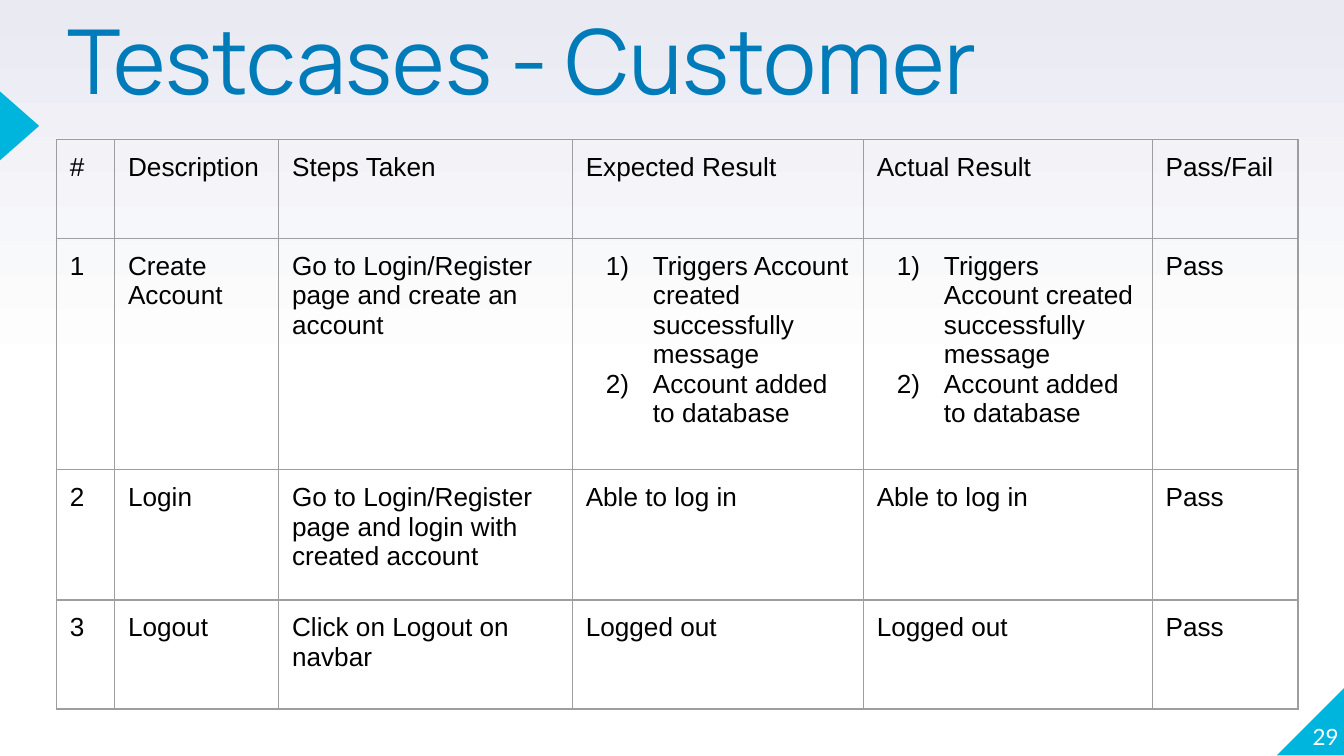
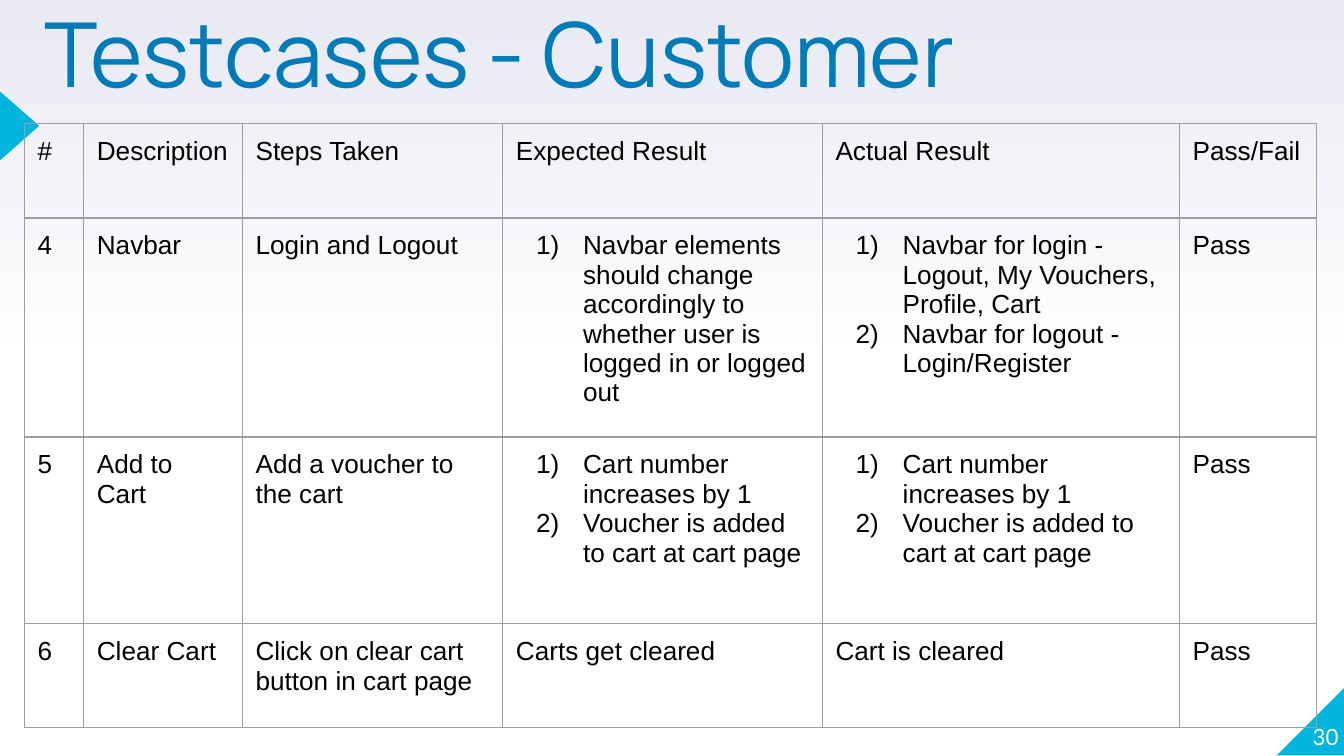
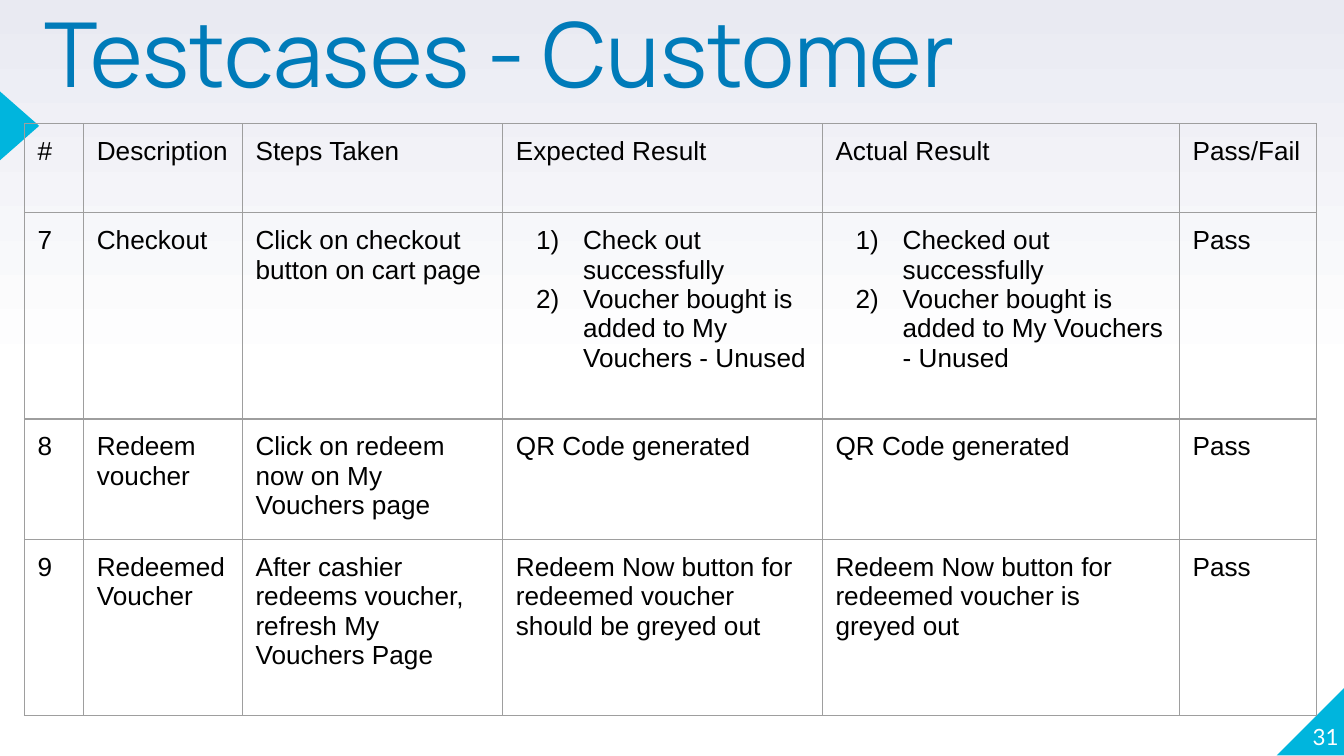
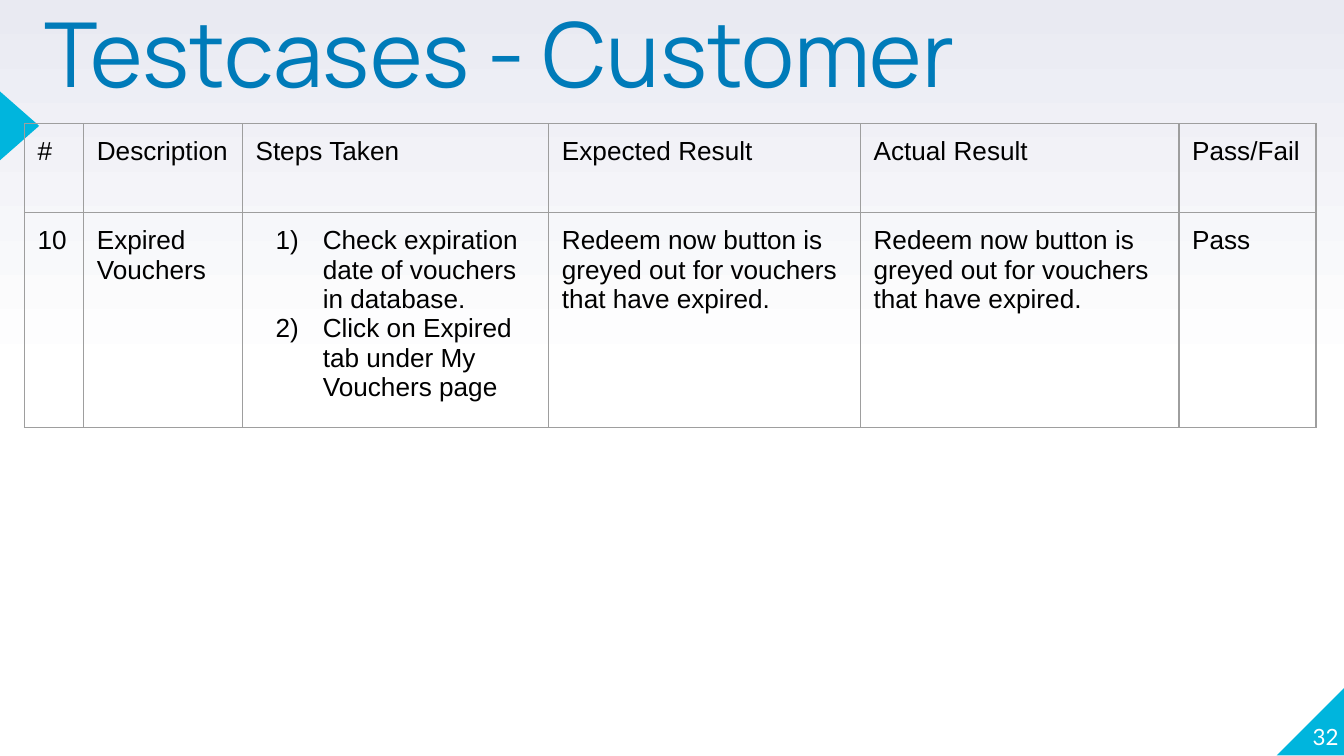
from copy import deepcopy
from dataclasses import dataclass

from lxml import etree
from pptx import Presentation
from pptx.dml.color import RGBColor
from pptx.enum.shapes import MSO_SHAPE
from pptx.enum.text import MSO_ANCHOR, PP_ALIGN
from pptx.oxml.ns import qn
from pptx.util import Cm, Pt

WEDGE = MSO_SHAPE.RIGHT_TRIANGLE
ARROW = MSO_SHAPE.ISOSCELES_TRIANGLE
TOP, BOTTOM = MSO_ANCHOR.TOP, MSO_ANCHOR.BOTTOM
LEFT, RIGHT = PP_ALIGN.LEFT, PP_ALIGN.RIGHT

# Shared look
WHITE, BLACK, MIST = "FFFFFF", "000000", "E9EAF2"
CYAN, BLUE, GREY = "00B5DD", "007BB9", "9E9E9E"
TITLE = "Testcases - Customer"
HEAD = ("#", "Description", "Steps Taken", "Expected Result",
        "Actual Result", "Pass/Fail")
PAD = Cm(0.25)
FIRST = 29

Box = tuple[float, float, float, float]
Entry = str | list[str]  # a list becomes numbered steps


@dataclass(frozen=True)
class Style:
    font: str
    size: float
    color: str
    align: PP_ALIGN = LEFT
    anchor: MSO_ANCHOR = TOP
    line: float | None = None


@dataclass(frozen=True)
class Frame:
    """Places of the title and the table, and the column widths, in cm."""
    title: tuple[float, float]
    grid: tuple[float, float]
    cols: tuple[float, ...]


@dataclass(frozen=True)
class Page:
    frame: Frame
    rows: tuple[float, ...]
    tests: list[tuple[Entry, ...]]


HEADING = Style("Manrope", 48, BLUE, line=0.8)
NUMBER = Style("Lato", 12, WHITE, RIGHT, BOTTOM)
BODY = Style("Arial", 14, BLACK)

INSET = Frame((1.27, 0.48), (1.07, 2.64), (1.1, 3.1, 5.55, 5.5, 5.46, 2.75))
WIDE = Frame((0.84, 0.36), (0.46, 2.34), (1.12, 3, 4.92, 6.04, 6.75, 2.59))
EVEN = Frame(WIDE.title, WIDE.grid, (1.12, 3, 5.79, 5.89, 6.02, 2.59))

# Test cases; every one of them passed
MADE = ["Triggers Account created successfully message",
        "Account added to database"]
ADDED = ["Cart number increases by 1", "Voucher is added to cart at cart page"]
BOUGHT = "Voucher bought is added to My Vouchers - Unused"
EXPIRED = "Redeem now button is greyed out for vouchers that have expired."

PAGES = [
    Page(INSET, (1.87, 4.37, 2.46, 2.06), [
        ("Create Account", "Go to Login/Register page and create an account",
         MADE, MADE),
        ("Login", "Go to Login/Register page and login with created account",
         "Able to log in", "Able to log in"),
        ("Logout", "Click on Logout on navbar", "Logged out", "Logged out"),
    ]),
    Page(WIDE, (1.78, 4.14, 3.53, 1.96), [
        ("Navbar", "Login and Logout",
         ["Navbar elements should change accordingly to whether user is "
          "logged in or logged out"],
         ["Navbar for login - Logout, My Vouchers, Profile, Cart",
          "Navbar for logout - Login/Register"]),
        ("Add to Cart", "Add a voucher to the cart", ADDED, ADDED),
        ("Clear Cart", "Click on clear cart button in cart page",
         "Carts get cleared", "Cart is cleared"),
    ]),
    Page(WIDE, (1.68, 3.9, 2.21, 3.33), [
        ("Checkout", "Click on checkout button on cart page",
         ["Check out successfully", BOUGHT],
         ["Checked out successfully", BOUGHT]),
        ("Redeem voucher", "Click on redeem now on My Vouchers page",
         "QR Code generated", "QR Code generated"),
        ("Redeemed Voucher",
         "After cashier redeems voucher, refresh My Vouchers Page",
         "Redeem Now button for redeemed voucher should be greyed out",
         "Redeem Now button for redeemed voucher is greyed out"),
    ]),
    Page(EVEN, (1.68, 3.9), [
        ("Expired Vouchers",
         ["Check expiration date of vouchers in database.",
          "Click on Expired tab under My Vouchers page"],
         EXPIRED, EXPIRED),
    ]),
]


def paint(code: str) -> RGBColor:
    return RGBColor.from_string(code)


def tint(parent, code: str) -> None:
    """Add a solid fill element to an XML parent."""
    fill = etree.SubElement(parent, qn("a:solidFill"))
    etree.SubElement(fill, qn("a:srgbClr"), val=code)


def write(par, text: str, style: Style) -> None:
    par.alignment = style.align
    if style.line:
        par.line_spacing = style.line
    run = par.add_run()
    run.text = text
    run.font.name = style.font
    run.font.size = Pt(style.size)
    run.font.color.rgb = paint(style.color)


def label(slide, box: Box, text: str, style: Style) -> None:
    frame = slide.shapes.add_textbox(*map(Cm, box)).text_frame
    frame.word_wrap = True
    frame.vertical_anchor = style.anchor
    frame.margin_left = frame.margin_right = 0
    frame.margin_top = frame.margin_bottom = 0
    write(frame.paragraphs[0], text, style)


def accent(slide, kind: MSO_SHAPE, box: Box, turn: float = 0,
           flip: bool = False) -> None:
    shape = slide.shapes.add_shape(kind, *map(Cm, box))
    shape.shadow.inherit = False
    shape.fill.solid()
    shape.fill.fore_color.rgb = paint(CYAN)
    shape.line.fill.background()
    shape.rotation = turn
    if flip:
        shape.element.spPr.find(qn("a:xfrm")).set("flipH", "1")


def count(par) -> None:
    """Number a paragraph as 1), 2) with a hanging indent."""
    props = par._p.get_or_add_pPr()
    props.set("marL", str(Cm(1.27)))
    props.set("indent", str(Cm(-0.89)))
    color = etree.SubElement(props, qn("a:buClr"))
    etree.SubElement(color, qn("a:srgbClr"), val=BLACK)
    etree.SubElement(props, qn("a:buAutoNum"), type="arabicParenR")


def edge(cell) -> None:
    props = cell._tc.get_or_add_tcPr()
    for side in ("lnL", "lnR", "lnT", "lnB"):
        line = etree.SubElement(props, qn(f"a:{side}"), w=str(Pt(0.75)))
        tint(line, GREY)


def enter(cell, entry: Entry) -> None:
    edge(cell)
    cell.fill.background()
    cell.margin_left = cell.margin_right = PAD
    cell.margin_top = cell.margin_bottom = PAD
    steps = isinstance(entry, list)
    frame = cell.text_frame
    for i, text in enumerate(entry if steps else [entry]):
        par = frame.add_paragraph() if i else frame.paragraphs[0]
        if steps:
            count(par)
        write(par, text, BODY)


def chart(slide, page: Page, start: int) -> None:
    """Draw the table of test cases, numbered from start."""
    cols, rows = page.frame.cols, page.rows
    size = (sum(cols), sum(rows))
    table = slide.shapes.add_table(
        len(rows), len(cols), *map(Cm, page.frame.grid + size)).table
    table.first_row = table.horz_banding = False
    for col, width in zip(table.columns, cols):
        col.width = Cm(width)
    for row, height in zip(table.rows, rows):
        row.height = Cm(height)
    lines = [HEAD] + [(str(n), *test, "Pass")
                      for n, test in enumerate(page.tests, start)]
    for row, line in zip(table.rows, lines):
        for cell, entry in zip(row.cells, line):
            enter(cell, entry)


def backdrop(master) -> None:
    """White lower half fading to a pale top, for all slides."""
    fill = master.background.fill
    fill.gradient()
    fill.gradient_angle = 90
    for stop, code in zip(fill.gradient_stops, (WHITE, MIST)):
        stop.color.rgb = paint(code)
    stops = master.element.find(f".//{qn('p:bg')}//{qn('a:gsLst')}")
    for stop, place in zip(stops, (0, 100000)):
        stop.set("pos", str(place))
    middle = deepcopy(stops[0])
    middle.set("pos", "50000")
    stops.insert(1, middle)


def main() -> None:
    prs = Presentation()
    prs.slide_width, prs.slide_height = Cm(25.4), Cm(14.29)
    backdrop(prs.slide_master)
    start = 1
    for number, page in enumerate(PAGES, FIRST):
        slide = prs.slides.add_slide(prs.slide_layouts[6])
        accent(slide, WEDGE, (24.13, 12.98, 1.3, 1.3), flip=True)
        accent(slide, ARROW, (-0.28, 2.01, 1.3, 0.74), turn=90)
        label(slide, page.frame.title + (22.86, 3), TITLE, HEADING)
        label(slide, (24.03, 12.88, 1.27, 1.3), str(number), NUMBER)
        chart(slide, page, start)
        start += len(page.tests)
    prs.save("out.pptx")


if __name__ == "__main__":
    main()
